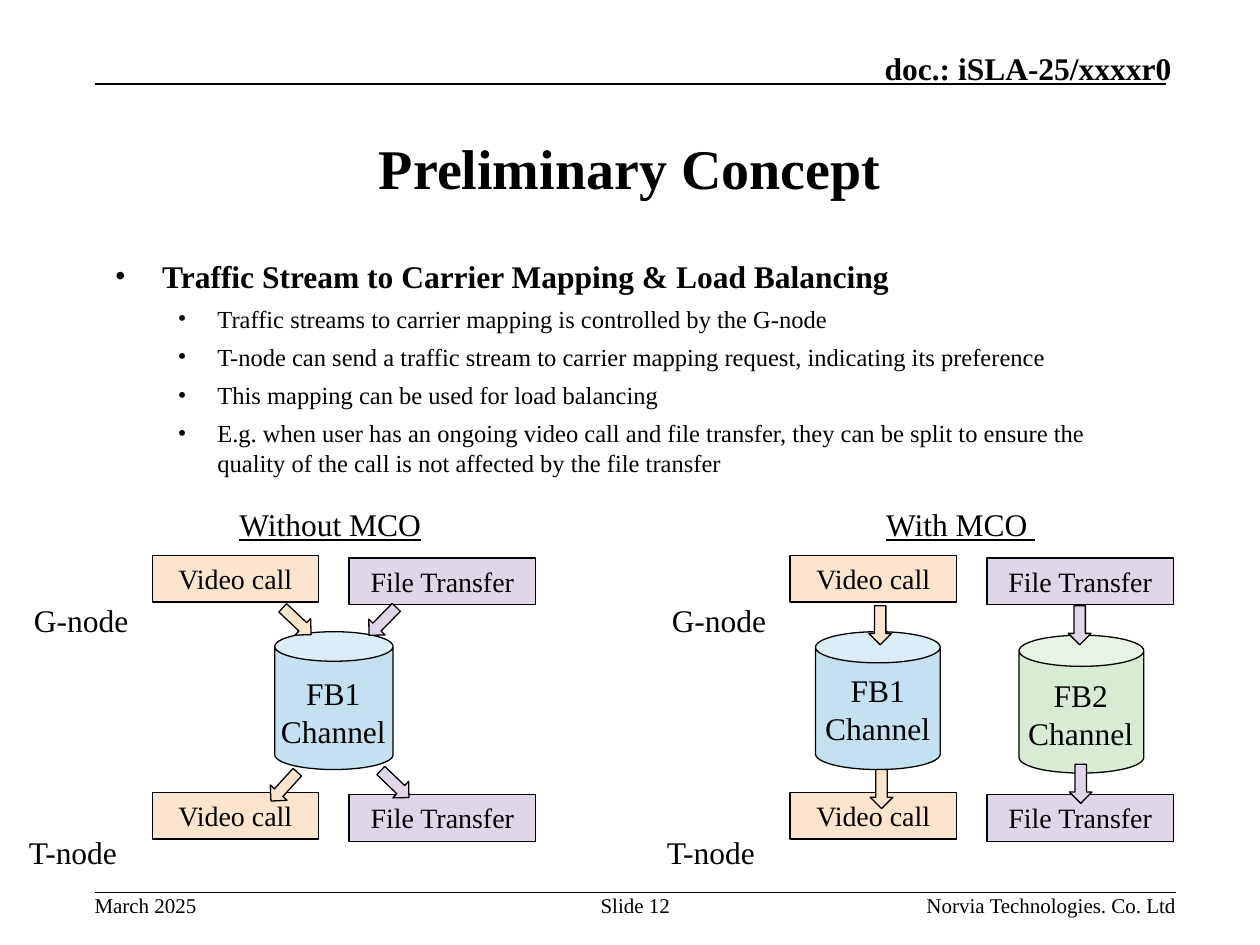
import pptx
import pptx.util
import pptx.dml.color
import pptx.enum.shapes
import pptx.enum.text
import pptx.oxml.ns
import lxml.etree

Pt = pptx.util.Pt
KIND = pptx.enum.shapes.MSO_SHAPE
ALIGN = pptx.enum.text.PP_ALIGN
MID = pptx.enum.text.MSO_ANCHOR.MIDDLE
TOP = pptx.enum.text.MSO_ANCHOR.TOP
END = pptx.enum.text.MSO_ANCHOR.BOTTOM
FACE = "Times New Roman"
HUES = {"ink": "000000", "video": "FDE5CD", "file": "DFD7E7",
        "blue": "C4E1F2", "green": "D9EAD5"}

# Content
TITLE = "Preliminary Concept"
HEAD = "Traffic Stream to Carrier Mapping & Load Balancing"
POINTS = [
    "Traffic streams to carrier mapping is controlled by the G-node",
    "T-node can send a traffic stream to carrier mapping request, indicating its preference",
    "This mapping can be used for load balancing",
    "E.g. when user has an ongoing video call and file transfer, they can be split "
    "to ensure the quality of the call is not affected by the file transfer",
]
RULES = [(54, 48.2, 666), (54, 510, 672)]  # left, y, right

# text, box, size, bold, alignment, anchor
FRAME = [
    ("doc.: iSLA-25/xxxxr0", (394, 28, 275.5, 21.6), 18, True, ALIGN.RIGHT, END),
    ("March 2025", (54, 510, 70, 14.5), 12, False, ALIGN.LEFT, TOP),
    ("Slide 12", (342, 510, 42, 28.8), 12, False, ALIGN.CENTER, TOP),
    ("Norvia Technologies. Co. Ltd", (472, 510, 200, 14.5), 12, False, ALIGN.RIGHT, TOP),
]

# Two panels; arrows are left, top, turn, hue
PANELS = [
    {"left": 0, "name": "Without MCO", "head": (121.5, 134.5),
     "cans": [("FB1 Channel", "blue", (157, 361, 67.6), (143.5, 381.5, 94))],
     "arrows": [(158.5, 348.5, 43.3, "video"), (207.5, 348.5, 134.4, "file"),
                (151.2, 443, 132.4, "video"), (214.5, 441.5, 43.8, "file")]},
    {"left": 364.5, "name": "With MCO ", "head": (496, 106),
     "cans": [("FB1 Channel", "blue", (466, 361, 71.3), (455.8, 380, 91.5)),
              ("FB2 Channel", "green", (582.3, 363, 71.3), (571.8, 383, 91.5))],
     "arrows": [(491.8, 350.8, 90, "video"), (605.8, 350.8, 90, "file"),
                (492.6, 444.4, 90, "video"), (606.4, 441.4, 90, "file")]},
]
STREAMS = [("Video call", "video", 87, 317.5, 95),
           ("File Transfer", "file", 199.5, 318.8, 106.5)]
NODES = [("G-node", 12.3, 340), ("T-node", 9.5, 472.5)]
DROP = 135.4  # from the G-node row to the T-node row


def color(key):
    return pptx.dml.color.RGBColor.from_string(HUES[key])


def style(para, size, bold=False, line=False):
    font = para.font
    font.name, font.size, font.bold = FACE, Pt(size), bold
    font.color.rgb = color("ink")
    if line:
        font.underline = True


def write(shape, text, size, align=ALIGN.LEFT, anchor=TOP, bold=False,
          line=False):
    frame = shape.text_frame
    frame.word_wrap = True
    frame.vertical_anchor = anchor
    para = frame.paragraphs[0]
    para.text, para.alignment = text, align
    style(para, size, bold, line)


def label(box, text, size, **opts):
    shape = slide.shapes.add_textbox(*map(Pt, box))
    write(shape, text, size, **opts)
    return shape


def block(kind, box, hue, turn=0):
    shape = slide.shapes.add_shape(kind, *map(Pt, box))
    shape.shadow.inherit = False
    shape.fill.solid()
    shape.fill.fore_color.rgb = color(hue)
    shape.line.color.rgb = color("ink")
    shape.line.width = Pt(0.75)
    shape.rotation = turn
    return shape


def place(shape, box):
    shape.left, shape.top, shape.width, shape.height = map(Pt, box)


def bullet(para, left, hang):
    props = para._p.get_or_add_pPr()
    props.set("marL", str(Pt(left)))
    props.set("indent", str(-Pt(hang)))
    tag = pptx.oxml.ns.qn
    hue = lxml.etree.SubElement(props, tag("a:buClr"))
    lxml.etree.SubElement(hue, tag("a:srgbClr")).set("val", HUES["ink"])
    lxml.etree.SubElement(props, tag("a:buFont")).set("typeface", FACE)
    lxml.etree.SubElement(props, tag("a:buChar")).set("char", "•")


deck = pptx.Presentation()
deck.slide_width, deck.slide_height = Pt(720), Pt(540)
slide = deck.slides.add_slide(deck.slide_layouts[1])

# Header and footer
for left, y, right in RULES:
    rule = slide.shapes.add_connector(
        pptx.enum.shapes.MSO_CONNECTOR.STRAIGHT, Pt(left), Pt(y), Pt(right), Pt(y))
    rule.line.color.rgb = color("ink")
    rule.line.width = Pt(1)
    lxml.etree.SubElement(rule._element.spPr, pptx.oxml.ns.qn("a:effectLst"))
for text, box, size, bold, align, anchor in FRAME:
    frame = label(box, text, size, align=align, anchor=anchor, bold=bold).text_frame
    frame.margin_left = frame.margin_right = 0
    frame.margin_top = frame.margin_bottom = 0

# Title and list
title, body = slide.shapes.title, slide.placeholders[1]
place(title, (54, 54, 612, 83.5))
write(title, TITLE, 32, align=ALIGN.CENTER, anchor=MID, bold=True)
place(body, (54, 143.5, 612, 139))
for shape in (title, body):
    shape.text_frame.auto_size = pptx.enum.text.MSO_AUTO_SIZE.NONE
for num, text in enumerate([HEAD] + POINTS):
    frame = body.text_frame
    para = frame.add_paragraph() if num else frame.paragraphs[0]
    para.text = text
    para.level = 1 if num else 0
    bullet(para, *((63, 22.5) if num else (31.5, 27)))
    para.space_before = Pt(5 if num else 0)
    style(para, 14 if num else 18, bold=not num)

# Panels
for panel in PANELS:
    shift = panel["left"]
    left, width = panel["head"]
    label((left, 285, width, 29), panel["name"], 18, align=ALIGN.CENTER, line=True)
    for text, x, y in NODES:
        label((x + shift, y, 92, 29), text, 18)
    for text, hue, (x, y, wide), spot in panel["cans"]:
        block(KIND.CAN, (x, y, wide, 78.8), hue)
        label((*spot, 51), text, 18, align=ALIGN.CENTER)
    for text, hue, x, y, wide in STREAMS:
        for row in (y, y + DROP):
            box = block(KIND.RECTANGLE, (x + shift, row, wide, 26.6), hue)
            write(box, text, 16, align=ALIGN.CENTER)
    for x, y, turn, hue in panel["arrows"]:
        block(KIND.RIGHT_ARROW, (x, y, 22.3, 13), hue, turn)

deck.save("out.pptx")
